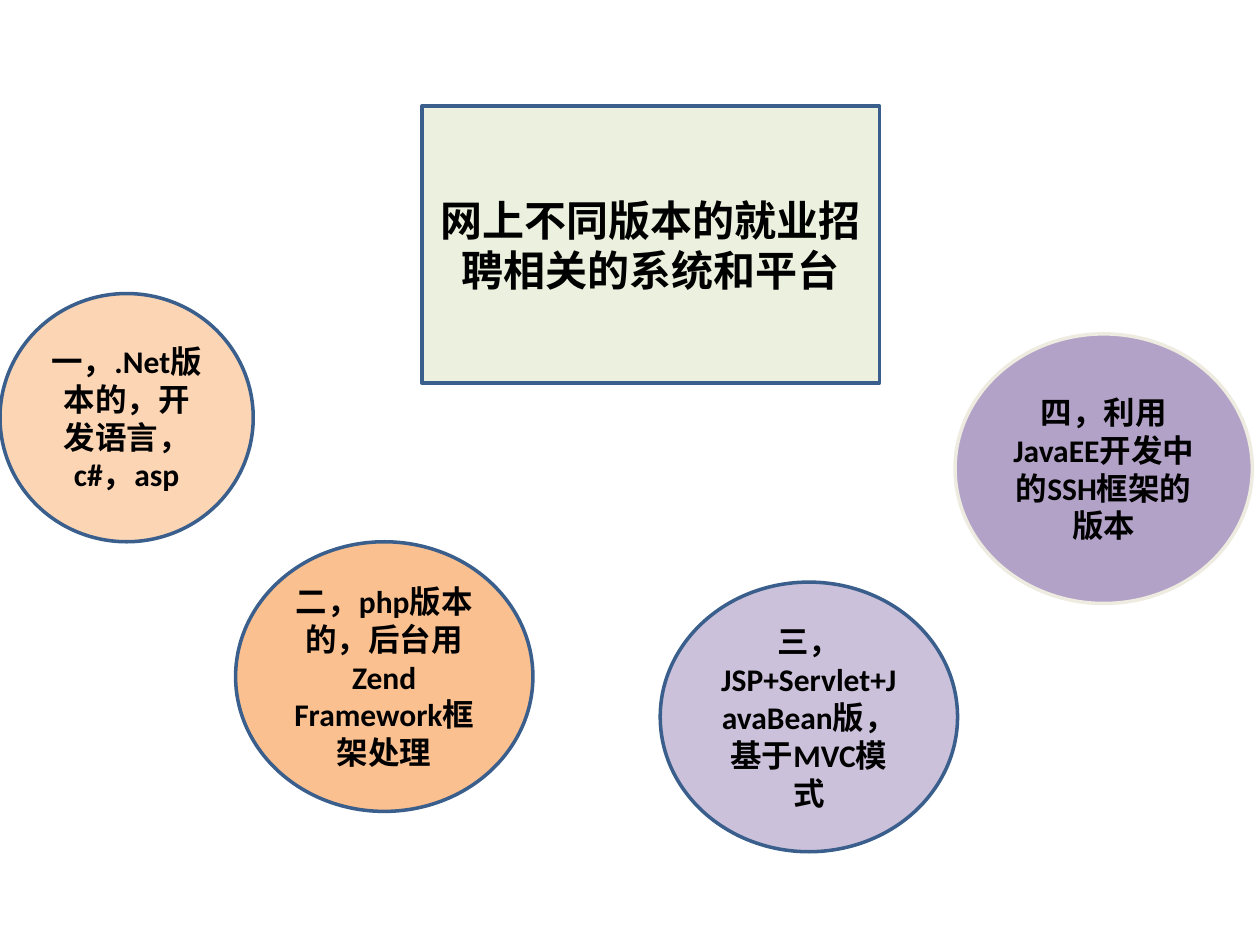
from pptx import Presentation
from pptx.dml.color import RGBColor
from pptx.enum.shapes import MSO_SHAPE
from pptx.enum.text import MSO_ANCHOR, PP_ALIGN
from pptx.util import Inches, Pt

RECTANGLE = MSO_SHAPE.RECTANGLE
OVAL = MSO_SHAPE.OVAL
MIDDLE = MSO_ANCHOR.MIDDLE
CENTER = PP_ALIGN.CENTER

FONT = "Calibri"
BLUE = "3A5F8C"
IVORY = "EEECE1"

TOPIC = "网上不同版本的就业招聘相关的系统和平台"
TOPIC_BOX = (3.35, 0.84, 3.63, 2.2)
VERSIONS = [
    ("一，.Net版本的，开发语言，c#，asp", (0, 2.33, 2.01, 1.97), "FCD5B5", BLUE),
    ("二，php版本的，后台用Zend Framework框架处理", (1.87, 4.3, 2.36, 2.14), "FAC090", BLUE),
    ("三，JSP+Servlet+JavaBean版，基于MVC模式", (5.24, 4.62, 2.36, 2.14), "CCC1DA", BLUE),
    ("四，利用JavaEE开发中的SSH框架的版本", (7.58, 2.65, 2.36, 2.14), "B3A2C7", IVORY),
]


def color(value):
    """Turn a hex string into a colour."""
    return RGBColor.from_string(value)


def add_label(slide, kind, box, text, size, fill, line):
    """Add an outlined shape with bold centred text in the given box."""
    shape = slide.shapes.add_shape(kind, *(Inches(length) for length in box))
    shape.shadow.inherit = False
    shape.fill.solid()
    shape.fill.fore_color.rgb = color(fill)
    shape.line.color.rgb = color(line)
    shape.line.width = Pt(2)
    frame = shape.text_frame
    frame.word_wrap = True
    frame.vertical_anchor = MIDDLE
    paragraph = frame.paragraphs[0]
    paragraph.text = text
    paragraph.alignment = CENTER
    paragraph.font.name = FONT
    paragraph.font.size = Pt(size)
    paragraph.font.bold = True
    paragraph.font.color.rgb = color("000000")


def add_topic(slide, box):
    """Add the topic rectangle."""
    add_label(slide, RECTANGLE, box, TOPIC, 24, "EBF1DE", BLUE)


def add_version(slide, box, text, fill, line):
    """Add one version of the system as an oval."""
    add_label(slide, OVAL, box, text, 18, fill, line)


def main():
    """Build and save the presentation."""
    presentation = Presentation()
    presentation.slide_width = Inches(10)
    presentation.slide_height = Inches(7.5)
    slide = presentation.slides.add_slide(presentation.slide_layouts[6])
    add_topic(slide, TOPIC_BOX)
    for text, box, fill, line in VERSIONS:
        add_version(slide, box, text, fill, line)
    presentation.save("out.pptx")


if __name__ == "__main__":
    main()
